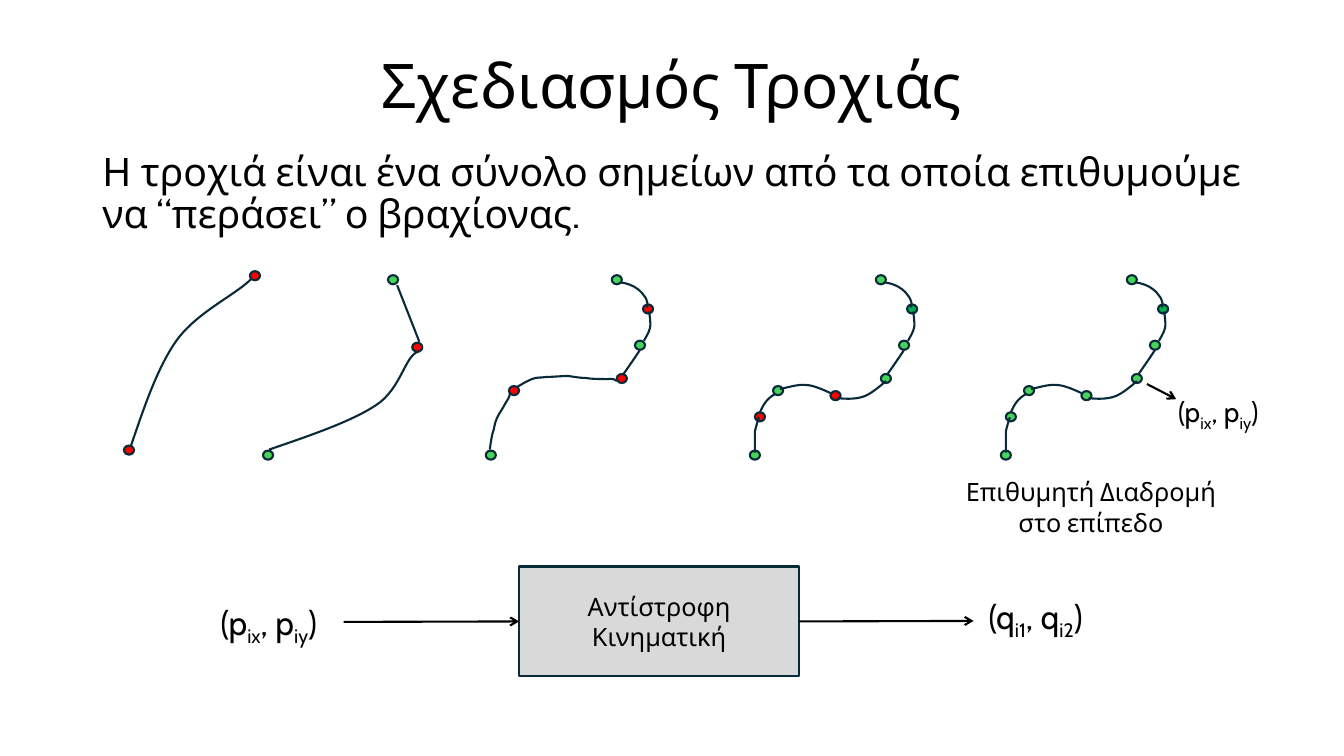
from pptx import Presentation
from pptx.dml.color import RGBColor
from pptx.enum.lang import MSO_LANGUAGE_ID as Lang
from pptx.enum.shapes import MSO_CONNECTOR as Link, MSO_SHAPE as Kind
from pptx.enum.text import MSO_ANCHOR as Anchor, MSO_AUTO_SIZE as Fit, PP_ALIGN as Align
from pptx.oxml.ns import qn
from pptx.util import Cm, Pt
from lxml.etree import SubElement as Sub

BLACK = RGBColor(0x00, 0x00, 0x00)
NAVY = RGBColor(0x09, 0x2A, 0x39)
GREY = RGBColor(0xD9, 0xD9, 0xD9)
RED = RGBColor(0xFF, 0x00, 0x00)
LIME = RGBColor(0x47, 0xD4, 0x5A)
GREEN = RGBColor(0x00, 0xB0, 0x50)

WIDE, TALL = Cm(33.87), Cm(19.05)
TEXT = 11.5
EDGE = (WIDE.inches - TEXT) / 2

# Curves: chained cubic control points; x is measured from the stage's left edge.
RISE = [(0.07, 4.42), (0.2, 4.04), (0.33, 3.65), (0.52, 3.38),
        (0.72, 3.1), (1.1, 2.93), (1.26, 2.77)]
SWEEP = [(0.06, 4.46), (0.47, 4.32), (0.88, 4.18), (1.12, 4.02),
         (1.37, 3.86), (1.41, 3.52), (1.54, 3.49)]
BACK = [(1.55, 3.39), (1.33, 2.83)]
HOOK = [
    [(1.36, 3.72), (1.43, 3.62), (1.5, 3.52), (1.53, 3.47)],
    [(1.57, 3.38), (1.59, 3.34), (1.62, 3.3), (1.63, 3.25),
     (1.64, 3.2), (1.62, 3.09), (1.62, 3.09)],
    [(1.33, 2.8), (1.4, 2.81), (1.46, 2.83), (1.51, 2.87),
     (1.56, 2.91), (1.62, 2.98), (1.6, 3.05)],
]
COARSE = [
    [(0.31, 3.84), (0.36, 3.81), (0.41, 3.78), (0.46, 3.76),
     (0.51, 3.74), (0.54, 3.75), (0.6, 3.74), (0.66, 3.74), (0.75, 3.73),
     (0.82, 3.73), (0.88, 3.74), (0.94, 3.75), (0.99, 3.75), (1.05, 3.76),
     (1.11, 3.76), (1.16, 3.76), (1.21, 3.77), (1.26, 3.74), (1.3, 3.78)],
    [(0.04, 4.46), (0.05, 4.39), (0.06, 4.31), (0.08, 4.26),
     (0.09, 4.2), (0.1, 4.17), (0.12, 4.13), (0.14, 4.09), (0.17, 4.05),
     (0.19, 4.01), (0.21, 3.97), (0.24, 3.95), (0.24, 3.89)],
]
FINE = [
    [(0.05, 4.49), (0.05, 4.41), (0.05, 4.34), (0.05, 4.28),
     (0.06, 4.23), (0.09, 4.14), (0.09, 4.14)],
    [(0.1, 4.09), (0.13, 4.02), (0.17, 3.95), (0.25, 3.91)],
    [(0.3, 3.86), (0.39, 3.84), (0.48, 3.81), (0.56, 3.82),
     (0.64, 3.82), (0.8, 3.9), (0.8, 3.9)],
    [(0.87, 3.95), (0.97, 3.96), (1.06, 3.96), (1.14, 3.93),
     (1.22, 3.9), (1.35, 3.78), (1.35, 3.78)],
]

ENDS = [(0, 4.47), (1.25, 2.73)]
BENDS = ENDS + [(1.48, 3.38), (1.56, 3.02), (1.3, 3.71), (0.23, 3.83)]
KNOTS = BENDS + [(0.05, 4.09), (0.8, 3.88)]

# Left edge, dots, their colours, curves
STAGES = [
    (1.23, [(0, 4.42), (1.25, 2.69)], [RED, RED], [RISE]),
    (2.61, [(0, 4.47), (1.24, 2.73), (1.48, 3.4)], [LIME, LIME, RED], [SWEEP, BACK]),
    (4.82, BENDS, [LIME] * 3 + [RED] * 3, HOOK + COARSE),
    (7.44, KNOTS, [LIME] * 3 + [GREEN] + [LIME] * 2 + [RED] * 2, HOOK + FINE),
    (9.93, KNOTS, [LIME] * 3 + [GREEN] + [LIME] * 4, HOOK + FINE),
]


def span(*vals):
    """Turn inch values into lengths."""
    return [Cm(v * 2.54) for v in vals]


def apply(item, props):
    for name, value in props.items():
        setattr(item, name, value)


def ink(shape, fill=None):
    shape.shadow.inherit = False
    if fill is None:
        shape.fill.background()
    else:
        shape.fill.solid()
        shape.fill.fore_color.rgb = fill
    shape.line.color.rgb = NAVY
    shape.line.width = Pt(1.5)


def write(frame, text, size, frame_props=None, para_props=None):
    """Fill a frame; pieces between bars are subscripts."""
    apply(frame, {"word_wrap": True, **(frame_props or {})})
    para = frame.paragraphs[0]
    apply(para, para_props or {})
    for i, piece in enumerate(text.split("|")):
        run = para.add_run()
        run.text = piece
        apply(run.font, {"name": "Cabin", "size": Pt(size), "language_id": Lang.GREEK})
        run.font.color.rgb = BLACK
        if i % 2:
            run.font._element.set("baseline", "-25000")


def label(slide, box, *args):
    write(slide.shapes.add_textbox(*span(*box)).text_frame, *args)


def dot(slide, x, y, fill):
    ink(slide.shapes.add_shape(Kind.FLOWCHART_CONNECTOR, *span(x, y, 0.1, 0.09)), fill)


def bend(shape):
    """Turn each three line segments of a freeform into one cubic curve."""
    route = next(shape._element.iter(qn("a:path")))
    lines = route.findall(qn("a:lnTo"))
    for i in range(0, len(lines), 3):
        cubic = Sub(route, qn("a:cubicBezTo"))
        for line in lines[i:i + 3]:
            cubic.append(line[0])
            route.remove(line)


def curve(slide, left, pts):
    spots = [span(left + x, y) for x, y in pts]
    pen = slide.shapes.build_freeform(*spots[0])
    pen.add_line_segments(spots[1:], close=False)
    shape = pen.convert_to_shape()
    if len(pts) > 2:
        bend(shape)
    ink(shape)


def stage(slide, left, dots, fills, curves):
    for (x, y), fill in zip(dots, fills):
        dot(slide, left + x, y, fill)
    for pts in curves:
        curve(slide, left, pts)


def arrow(slide, *ends):
    link = slide.shapes.add_connector(Link.STRAIGHT, *span(*ends))
    link.line.color.rgb = BLACK
    link.line.width = Pt(1.5)
    Sub(link.line._get_or_add_ln(), qn("a:tailEnd"), type="arrow")
    Sub(link._element.spPr, qn("a:effectLst"))
    return link


def block(slide, box, text):
    shape = slide.shapes.add_shape(Kind.RECTANGLE, *span(*box))
    ink(shape, GREY)
    write(shape.text_frame, text, 18, {"vertical_anchor": Anchor.MIDDLE},
          {"alignment": Align.CENTER})
    return shape


def main():
    deck = Presentation()
    apply(deck, {"slide_width": WIDE, "slide_height": TALL})
    slide = deck.slides.add_slide(deck.slide_layouts[6])
    grow = {"auto_size": Fit.SHAPE_TO_FIT_TEXT}

    label(slide, (EDGE, 0.39, TEXT, 0.97), "Σχεδιασμός Τροχιάς", 44,
          {"vertical_anchor": Anchor.MIDDLE},
          {"alignment": Align.CENTER, "line_spacing": 0.9})
    label(slide, (EDGE, 1.46, TEXT, 1.02),
          "Η τροχιά είναι ένα σύνολο σημείων από τα οποία επιθυμούμε "
          "να “περάσει” ο βραχίονας.", 28, {},
          {"alignment": Align.JUSTIFY, "line_spacing": 0.9, "space_before": Pt(10)})

    for row in STAGES:
        stage(slide, *row)
    label(slide, (9.48, 4.68, 2.69, 0.71), "Επιθυμητή Διαδρομή στο επίπεδο", 18,
          grow, {"alignment": Align.CENTER})
    point = "(p|ix|, p|iy|)"
    label(slide, (11.59, 3.86, 1.33, 0.44), point, 20, grow)
    arrow(slide, 11.38, 3.81, 11.67, 3.96)

    solver = block(slide, (5.15, 5.62, 2.78, 1.09), "Αντίστροφη Κινηματική")
    label(slide, (2.09, 5.92, 1.33, 0.5), point, 24, grow)
    label(slide, (9.71, 5.86, 1.33, 0.5), "(q|i1|, q|i2|)", 24, grow)
    arrow(slide, 3.41, 6.17, 5.15, 6.17).end_connect(solver, 1)
    arrow(slide, 7.93, 6.16, 9.66, 6.16).begin_connect(solver, 3)

    deck.save("out.pptx")


if __name__ == "__main__":
    main()
